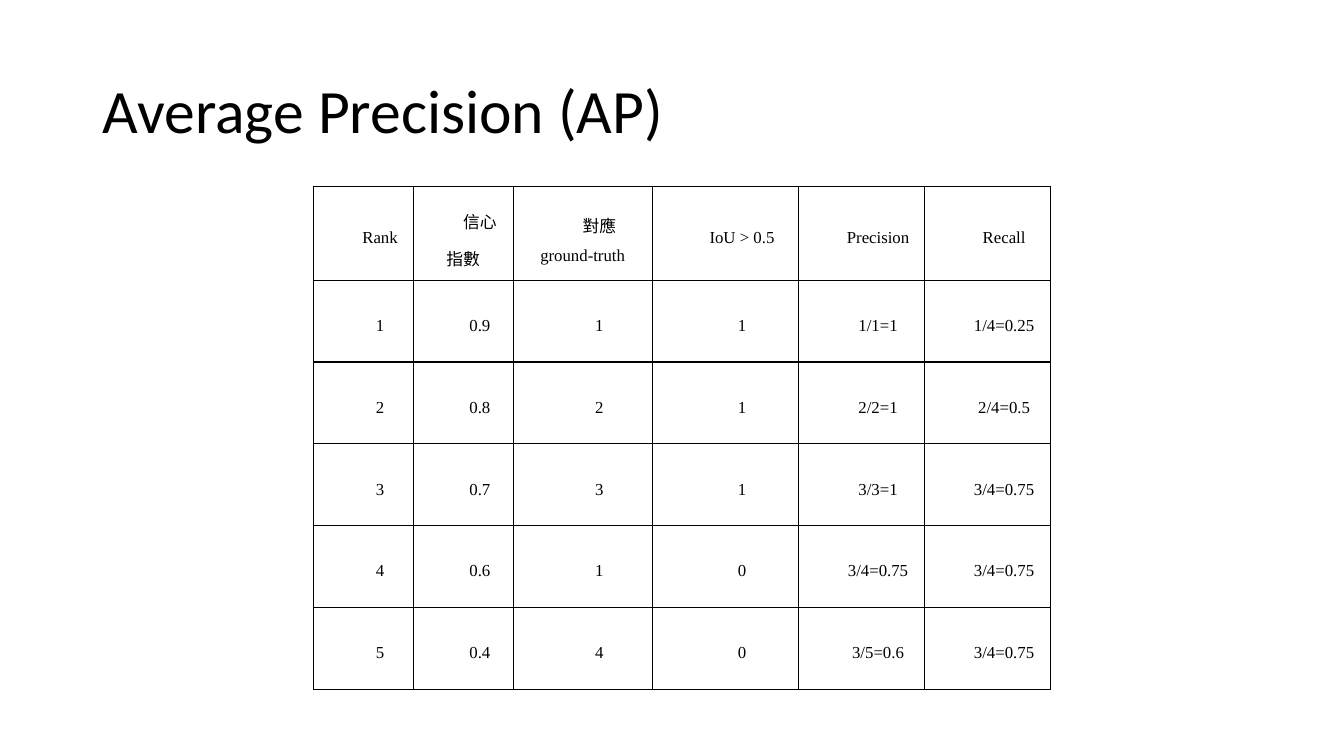
from typing import NamedTuple

from lxml.etree import SubElement
from pptx import Presentation
from pptx.dml.color import RGBColor
from pptx.enum.text import MSO_ANCHOR, MSO_AUTO_SIZE, PP_ALIGN
from pptx.oxml.ns import qn
from pptx.util import Inches, Pt

COLORS = {"background": "FFFFFF", "text": "000000", "border": "000000"}
SLIDE_W, SLIDE_H = 13.33, 7.5
TABLE_LEFT, TABLE_TOP, TABLE_H = 3.11, 1.85, 4.99
HEADER_H = 0.93
FIRST_LINE_INDENT = 0.33
BORDER_PT = 1


class Column(NamedTuple):
    heading: str
    width: float


class Detection(NamedTuple):
    rank: str
    confidence: str
    ground_truth: str
    matched: str
    precision: str
    recall: str


COLUMNS = [
    Column("Rank", 0.99),
    Column("信心指數", 0.99),
    Column("對應ground-truth", 1.38),
    Column("IoU > 0.5", 1.45),
    Column("Precision", 1.25),
    Column("Recall", 1.25),
]
DETECTIONS = [
    Detection("1", "0.9", "1", "1", "1/1=1", "1/4=0.25"),
    Detection("2", "0.8", "2", "1", "2/2=1", "2/4=0.5"),
    Detection("3", "0.7", "3", "1", "3/3=1", "3/4=0.75"),
    Detection("4", "0.6", "1", "0", "3/4=0.75", "3/4=0.75"),
    Detection("5", "0.4", "4", "0", "3/5=0.6", "3/4=0.75"),
]


def style_font(font, name: str, size: float) -> None:
    font.name = name
    font.size = Pt(size)
    font.bold = False
    font.color.rgb = RGBColor.from_string(COLORS["text"])


def add_title(slide, text: str) -> None:
    title = slide.shapes.title
    title.left, title.top = Inches(0.92), Inches(0.4)
    title.width, title.height = Inches(11.5), Inches(1.45)
    tf = title.text_frame
    tf.text = text
    tf.auto_size = MSO_AUTO_SIZE.NONE
    tf.vertical_anchor = MSO_ANCHOR.MIDDLE
    p = tf.paragraphs[0]
    p.alignment = PP_ALIGN.LEFT
    p.line_spacing = 0.9
    style_font(p.runs[0].font, "Calibri", 44)


def add_borders(cell) -> None:
    """Draw all four sides; line elements must come before the fill."""
    tc_pr = cell._tc.get_or_add_tcPr()
    for position, side in enumerate(("lnL", "lnR", "lnT", "lnB")):
        line = SubElement(tc_pr, qn(f"a:{side}"), w=str(Pt(BORDER_PT)))
        fill = SubElement(line, qn("a:solidFill"))
        SubElement(fill, qn("a:srgbClr"), val=COLORS["border"])
        tc_pr.insert(position, line)


def fill_cell(cell, text: str) -> None:
    cell.fill.background()
    add_borders(cell)
    cell.vertical_anchor = MSO_ANCHOR.MIDDLE
    cell.text_frame.text = text
    p = cell.text_frame.paragraphs[0]
    p.alignment = PP_ALIGN.CENTER
    p.line_spacing = 1.5
    p.space_after = Pt(6)
    p_pr = p._p.get_or_add_pPr()
    p_pr.set("marL", "0")
    p_pr.set("indent", str(Inches(FIRST_LINE_INDENT)))
    style_font(p.runs[0].font, "Times New Roman", 12)


def add_precision_table(slide) -> None:
    rows = [[column.heading for column in COLUMNS], *DETECTIONS]
    width = sum(column.width for column in COLUMNS)
    table = slide.shapes.add_table(
        len(rows), len(COLUMNS), Inches(TABLE_LEFT), Inches(TABLE_TOP),
        Inches(width), Inches(TABLE_H)).table
    table.first_row = table.horz_banding = False
    for table_column, column in zip(table.columns, COLUMNS):
        table_column.width = Inches(column.width)
    detection_h = (TABLE_H - HEADER_H) / len(DETECTIONS)
    for i, values in enumerate(rows):
        table.rows[i].height = Inches(detection_h if i else HEADER_H)
        for j, text in enumerate(values):
            fill_cell(table.cell(i, j), text)


def main() -> None:
    prs = Presentation()
    prs.slide_width, prs.slide_height = Inches(SLIDE_W), Inches(SLIDE_H)
    slide = prs.slides.add_slide(prs.slide_layouts[5])
    background = slide.background.fill
    background.solid()
    background.fore_color.rgb = RGBColor.from_string(COLORS["background"])
    add_title(slide, "Average Precision (AP)")
    add_precision_table(slide)
    prs.save("out.pptx")


if __name__ == "__main__":
    main()
